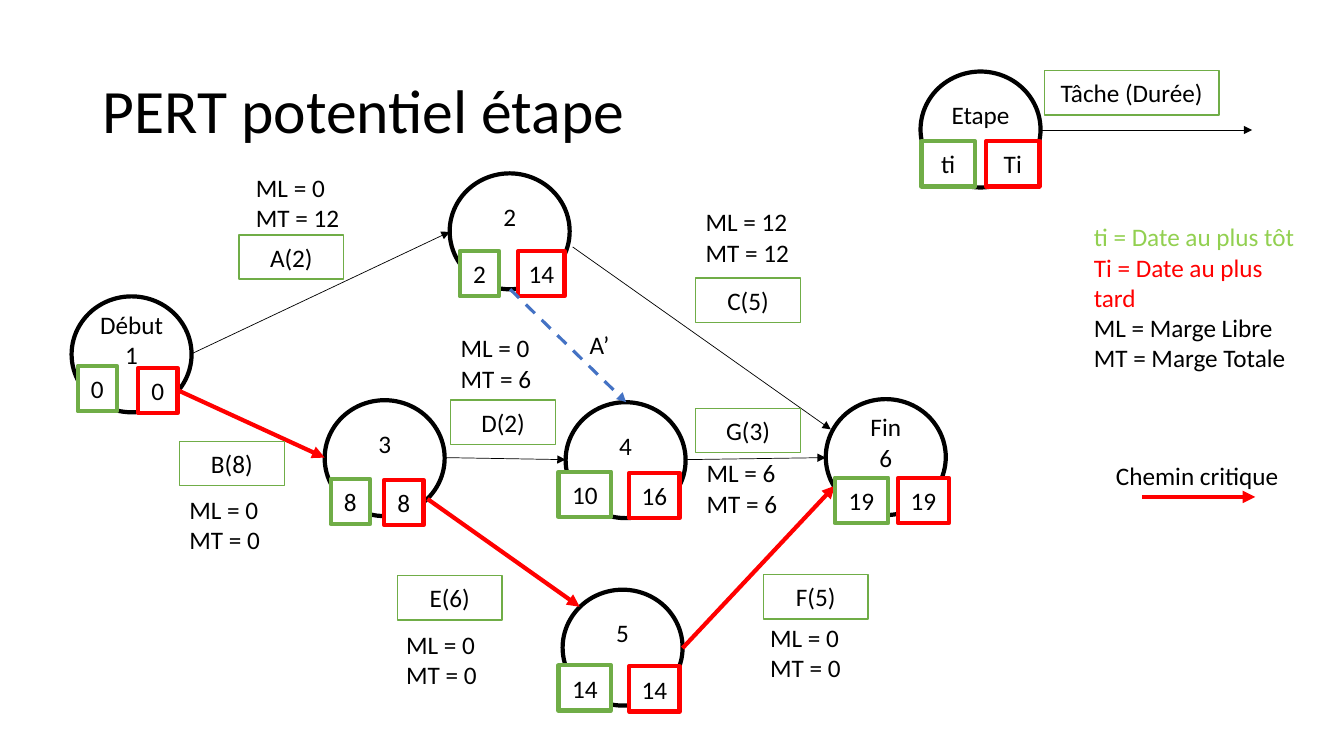
from collections import namedtuple
from dataclasses import dataclass

from lxml.etree import SubElement
from pptx import Presentation
from pptx.dml.color import RGBColor
from pptx.enum.dml import MSO_LINE
from pptx.enum.shapes import MSO_CONNECTOR, MSO_SHAPE
from pptx.enum.text import MSO_ANCHOR, PP_ALIGN
from pptx.oxml.ns import qn
from pptx.util import Inches, Pt


@dataclass(frozen=True)
class Theme:
    font: str = "Calibri"
    title_size: float = 44
    body_size: float = 18
    thin: float = 0.5
    tag_line: float = 1
    dash_line: float = 2.25
    thick: float = 3
    black: str = "000000"
    white: str = "FFFFFF"
    red: str = "FF0000"
    green: str = "70AD47"
    lime: str = "92D050"
    blue: str = "4472C4"


@dataclass(frozen=True)
class Box:
    left: float
    top: float
    width: float
    height: float

    def inner(self, left, top, width, height):
        return Box(self.left + left, self.top + top, width, height)

    def lengths(self):
        return [Inches(side) for side in (self.left, self.top, self.width, self.height)]


Step = namedtuple("Step", "lines left top early late")
Date = namedtuple("Date", "value left top width")
Task = namedtuple("Task", "name start end critical tag margins free total")

theme = Theme()
CIRCLE = (1.19, 1.15)
TAG = (1.04, 0.44)
MARGINS = (1.19, 0.71)
DATE_HEIGHT = 0.45
LINE_HEIGHT = 0.3

STEPS = [
    Step(["Fin", "6"], 7.49, 2.36, Date("19", 0.09, 0.78, 0.53), Date("19", 0.72, 0.78, 0.5)),
    Step(["5"], 4.88, 4.25, Date("14", -0.04, 0.75, 0.52), Date("14", 0.66, 0.76, 0.5)),
    Step(["4"], 4.91, 2.39, Date("10", -0.07, 0.69, 0.52), Date("16", 0.63, 0.7, 0.5)),
    Step(["3"], 2.52, 2.37, Date("8", 0.06, 0.78, 0.39), Date("8", 0.59, 0.79, 0.39)),
    Step(["2"], 3.76, 0.12, Date("2", 0.1, 0.77, 0.39), Date("14", 0.68, 0.77, 0.46)),
    Step(["Début", "1"], 0.01, 1.34, Date("0", 0.06, 0.69, 0.39), Date("0", 0.66, 0.71, 0.39)),
]
TASKS = [
    Task("A(2)", (1.2, 1.91), (3.76, 0.7), False, (1.67, 0.73), (1.74, 0.06), 0, 12),
    Task("B(8)", (1.06, 2.27), (2.52, 2.94), True, (1.08, 2.78), (1.08, 3.25), 0, 0),
    Task("C(5)", (4.98, 0.85), (7.54, 2.66), False, (6.2, 1.16), (6.2, 0.4), 12, 12),
    Task("D(2)", (3.71, 2.94), (4.91, 2.96), False, (3.77, 2.37), (3.77, 1.65), 0, 6),
    Task("E(6)", (3.54, 3.35), (5.05, 4.42), True, (3.24, 4.11), (3.23, 4.59), 0, 0),
    Task("F(5)", (6.07, 4.83), (7.58, 3.22), True, (6.87, 4.1), (6.84, 4.52), 0, 0),
    Task("G(3)", (6.1, 2.96), (7.49, 2.94), False, (6.2, 2.45), (6.21, 2.89), 6, 6),
]
EXAMPLE = Step(["Etape"], 0.03, 0.01, Date("ti", 0.01, 0.69, 0.53), Date("Ti", 0.65, 0.69, 0.53))


def write(frame, lines, size=theme.body_size, align=PP_ALIGN.LEFT, colors=None):
    for index, words in enumerate(lines):
        para = frame.paragraphs[0] if index == 0 else frame.add_paragraph()
        para.alignment = align
        span = para.add_run()
        span.text = words
        span.font.name = theme.font
        span.font.size = Pt(size)
        span.font.color.rgb = RGBColor.from_string(colors[index] if colors else theme.black)


def add_label(page, box, lines, wrap=True, **style):
    frame = page.shapes.add_textbox(*box.lengths()).text_frame
    frame.word_wrap = wrap
    write(frame, lines, **style)
    return frame


def add_outlined(page, kind, box, lines, color, weight, bottom=0):
    shape = page.shapes.add_shape(kind, *box.lengths())
    shape.shadow.inherit = False
    shape.fill.solid()
    shape.fill.fore_color.rgb = RGBColor.from_string(theme.white)
    shape.line.color.rgb = RGBColor.from_string(color)
    shape.line.width = Pt(weight)
    frame = shape.text_frame
    frame.word_wrap = True
    frame.vertical_anchor = MSO_ANCHOR.MIDDLE
    frame.margin_left = frame.margin_right = frame.margin_top = 0
    frame.margin_bottom = Inches(bottom)
    write(frame, lines, align=PP_ALIGN.CENTER)


def add_arrow(page, box, start, end, color=theme.black, weight=theme.thin, dash=None):
    ends = [Inches(side) for x, y in (start, end) for side in (box.left + x, box.top + y)]
    arrow = page.shapes.add_connector(MSO_CONNECTOR.STRAIGHT, *ends)
    arrow.line.color.rgb = RGBColor.from_string(color)
    arrow.line.width = Pt(weight)
    if dash:
        arrow.line.dash_style = dash
    SubElement(arrow.line._get_or_add_ln(), qn("a:tailEnd"), type="triangle")
    SubElement(arrow._element.spPr, qn("a:effectLst"))


def add_circle(page, box, step):
    circle = box.inner(step.left, step.top, *CIRCLE)
    add_outlined(page, MSO_SHAPE.OVAL, circle, step.lines, theme.black, theme.thick, LINE_HEIGHT)


def add_dates(page, box, step):
    for date, color in ((step.early, theme.green), (step.late, theme.red)):
        place = box.inner(step.left + date.left, step.top + date.top, date.width, DATE_HEIGHT)
        add_outlined(page, MSO_SHAPE.RECTANGLE, place, [date.value], color, theme.thick)


def add_tag(page, box, name):
    add_outlined(page, MSO_SHAPE.RECTANGLE, box, [name], theme.green, theme.tag_line)


def draw_title(page, box):
    frame = add_label(page, box, ["PERT potentiel étape"], size=theme.title_size)
    frame.vertical_anchor = MSO_ANCHOR.MIDDLE
    frame.paragraphs[0].line_spacing = 0.9


def draw_network(page, box):
    for step in STEPS:
        add_circle(page, box, step)
    for task in TASKS:
        style = (theme.red, theme.thick) if task.critical else (theme.black, theme.thin)
        add_arrow(page, box, task.start, task.end, *style)
    for task in TASKS:
        add_tag(page, box.inner(*task.tag, *TAG), task.name)
    for step in STEPS:
        add_dates(page, box, step)
    for task in TASKS:
        lines = [f"ML = {task.free}", f"MT = {task.total}"]
        add_label(page, box.inner(*task.margins, *MARGINS), lines)
    add_arrow(page, box, (4.36, 1.27), (5.51, 2.39), theme.blue, theme.dash_line, MSO_LINE.DASH)
    add_label(page, box.inner(5.05, 1.62, 0.4, 0.4), ["A’"], wrap=False)


def draw_legend(page, box):
    add_circle(page, box, EXAMPLE)
    add_dates(page, box, EXAMPLE)
    add_arrow(page, box, (1.22, 0.59), (3.32, 0.59))
    add_tag(page, box.inner(1.26, 0, 1.73, 0.44), "Tâche (Durée)")
    meanings = ["ti = Date au plus tôt", "Ti = Date au plus tard", "ML = Marge Libre", "MT = Marge Totale"]
    colors = [theme.lime, theme.red, theme.black, theme.black]
    add_label(page, box.inner(1.65, 1.45, 2.28, 1.62), meanings, colors=colors)
    add_arrow(page, box, (2.23, 4.23), (3.35, 4.23), theme.red, theme.thick)
    add_label(page, box.inner(1.87, 3.82, 1.83, 0.4), ["Chemin critique"], wrap=False)


deck = Presentation()
deck.slide_width, deck.slide_height = Inches(13.33), Inches(7.5)
page = deck.slides.add_slide(deck.slide_layouts[6])
draw_title(page, Box(0.92, 0.4, 11.5, 1.45))
draw_network(page, Box(0.7, 1.6, 8.7, 5.5))
draw_legend(page, Box(9.1, 0.7, 3.93, 4.3))
deck.save("out.pptx")
